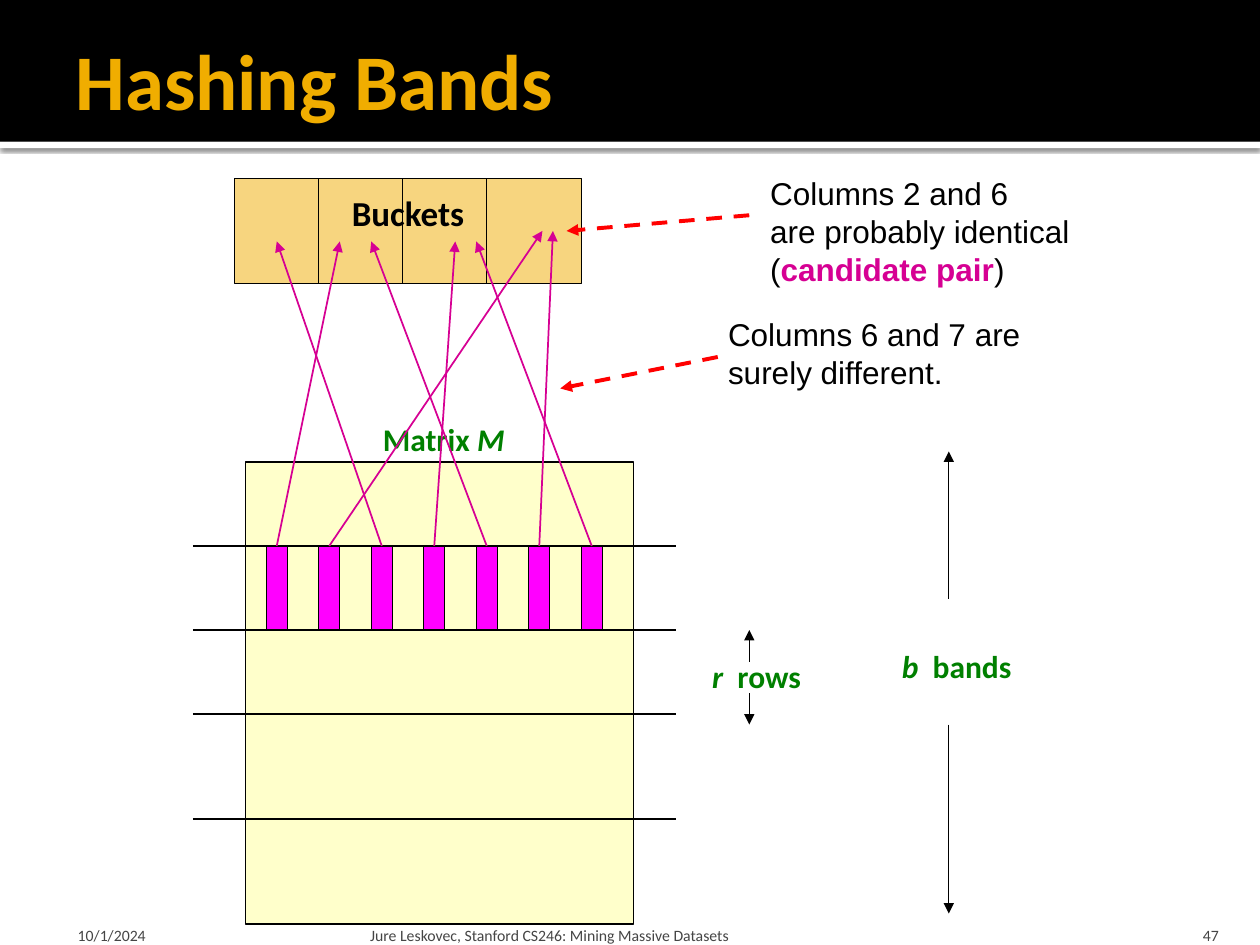
import dataclasses

import lxml.etree
import pptx
import pptx.dml.color
import pptx.enum.dml
import pptx.enum.shapes
import pptx.enum.text
import pptx.oxml
import pptx.oxml.ns
import pptx.util

ALIGN = pptx.enum.text.PP_ALIGN
ANCHOR = pptx.enum.text.MSO_ANCHOR


@dataclasses.dataclass(frozen=True)
class Theme:
    black: str = "000000"
    white: str = "FFFFFF"
    gold: str = "F0AD00"
    cream: str = "FFFF99"
    green: str = "008000"
    bar: str = "FF00FF"
    pink: str = "D60093"
    red: str = "FF0000"
    gray: str = "454545"
    heading_font: str = "Calibri"
    note_font: str = "Arial"
    title_size: float = 45
    bucket_size: float = 20
    label_size: float = 18
    footer_size: float = 9
    thin: float = 0.75
    medium: float = 1
    thick: float = 2.25


THEME = Theme()


def color(value):
    return pptx.dml.color.RGBColor.from_string(value)


def column(units):
    return pptx.util.Inches(units / 12 + 0.03)


def row(units):
    return pptx.util.Inches(units / 12)


def box(left, top, width, height):
    return column(left), row(top), row(width), row(height)


def add_xml(parent, name, **attributes):
    return lxml.etree.SubElement(parent, pptx.oxml.ns.qn(name), attributes)


def write_text(frame, paragraphs, font=THEME.heading_font, size=THEME.label_size,
               fill=THEME.black, bold=False, align=ALIGN.LEFT, anchor=ANCHOR.TOP,
               wrap=False, insets=(0.1, 0.05, 0.1, 0.05)):
    frame.word_wrap = wrap
    frame.auto_size = pptx.enum.text.MSO_AUTO_SIZE.NONE
    frame.vertical_anchor = anchor
    (frame.margin_left, frame.margin_top,
     frame.margin_right, frame.margin_bottom) = map(pptx.util.Inches, insets)
    for index, runs in enumerate(paragraphs):
        paragraph = frame.add_paragraph() if index else frame.paragraphs[0]
        paragraph.alignment = align
        for text, changes in runs:
            run = paragraph.add_run()
            run.text = text
            run.font.name = font
            run.font.size = pptx.util.Pt(size)
            run.font.bold = changes.get("bold", bold)
            run.font.italic = changes.get("italic", False)
            run.font.color.rgb = color(changes.get("fill", fill))


def add_text(slide, place, paragraphs, **text_format):
    shape = slide.shapes.add_textbox(*place)
    write_text(shape.text_frame, paragraphs, **text_format)


def add_rectangle(slide, place, fill, line=None, opacity=None):
    shape = slide.shapes.add_shape(pptx.enum.shapes.MSO_SHAPE.RECTANGLE, *place)
    shape.shadow.inherit = False
    shape.fill.solid()
    shape.fill.fore_color.rgb = color(fill)
    if opacity:
        solid = shape.element.spPr.find(pptx.oxml.ns.qn("a:solidFill"))
        add_xml(solid[0], "a:alpha", val=str(opacity * 1000))
    if line:
        shape.line.color.rgb = color(line)
        shape.line.width = pptx.util.Pt(THEME.thin)
    else:
        shape.line.fill.background()
    return shape


def add_line(slide, start, end, stroke=THEME.black, width=THEME.thin,
             arrow=False, dashed=False):
    connector = slide.shapes.add_connector(
        pptx.enum.shapes.MSO_CONNECTOR.STRAIGHT,
        column(start[0]), row(start[1]), column(end[0]), row(end[1]))
    connector.line.color.rgb = color(stroke)
    connector.line.width = pptx.util.Pt(width)
    if dashed:
        connector.line.dash_style = pptx.enum.dml.MSO_LINE.DASH
    if arrow:
        add_xml(connector.line._get_or_add_ln(), "a:tailEnd", type="triangle")
    add_xml(connector.element.spPr, "a:effectLst")


def add_header(slide, presentation):
    width, height = presentation.slide_width, presentation.slide_height
    band = int(height * 0.15)
    strip = add_rectangle(slide, (0, band, width, pptx.util.Inches(0.05)), THEME.white)
    effects = strip.element.spPr.find(pptx.oxml.ns.qn("a:effectLst"))
    shadow = add_xml(effects, "a:outerShdw", blurRad=str(pptx.util.Pt(2.5)),
                     dist=str(pptx.util.Pt(0.8)), dir="5400000", rotWithShape="0")
    shade = add_xml(shadow, "a:srgbClr", val=THEME.black)
    add_xml(shade, "a:alpha", val="60000")
    add_rectangle(slide, (0, 0, width, band), THEME.black)

    title = slide.shapes.title
    title.left, title.top = int(width * 0.05), pptx.util.Inches(0.17)
    title.width, title.height = int(width * 0.9), pptx.util.Inches(0.92)
    write_text(title.text_frame, [[("Hashing Bands", {})]], size=THEME.title_size,
               fill=THEME.gold, bold=True, anchor=ANCHOR.MIDDLE, wrap=True,
               insets=(0.1, 0.05, 0.05, 0.05))
    title.element.getparent().append(title.element)


def add_matrix(slide):
    add_rectangle(slide, box(23, 44, 37, 44), THEME.cream, THEME.black, opacity=50)
    for boundary in (52, 60, 68, 78):
        add_line(slide, (18, boundary), (64, boundary))
    for x, start, end in ((71, 63, 60), (71, 66, 69), (90, 57, 43), (90, 69, 87)):
        add_line(slide, (x, start), (x, end), arrow=True)
    italic = {"italic": True}
    labels = (
        (box(34.8, 39.4, 14.2, 4.8), [("Matrix ", {}), ("M", italic)]),
        (box(66.2, 62, 11, 4.8), [("r ", italic), (" rows", {})]),
        (box(84.2, 61, 13.1, 4.8), [("b ", italic), (" bands", {})]),
    )
    for place, runs in labels:
        add_text(slide, place, [runs], fill=THEME.green, bold=True, align=ALIGN.CENTER)


def add_buckets(slide):
    buckets = add_rectangle(slide, box(22, 17, 33, 10), THEME.gold, THEME.black, opacity=50)
    write_text(buckets.text_frame, [[("Buckets", {})]], size=THEME.bucket_size,
               bold=True, align=ALIGN.CENTER, anchor=ANCHOR.MIDDLE,
               insets=(0.1, 0.05, 0.1, 0.35))
    for divider in (30, 38, 46):
        add_line(slide, (divider, 17), (divider, 27))


def add_hashes(slide):
    targets = ((32, 23), (51.3, 22), (26, 23), (43, 23), (35, 23), (52.3, 22), (45, 23))
    for index, target in enumerate(targets):
        left = 25 + 5 * index
        add_rectangle(slide, box(left, 52, 2, 8), THEME.bar, THEME.black)
        add_line(slide, (left + 1, 52), target, THEME.pink, THEME.medium, arrow=True)


def add_notes_on_columns(slide):
    emphasis = {"bold": True, "fill": THEME.pink}
    notes = (
        (box(71.8, 16, 32, 12),
         [[("Columns 2 and 6", {})], [("are probably identical", {})],
          [("(", {}), ("candidate pair", emphasis), (")", {})]],
         (71, 20.5), (53.6, 22)),
        (box(67.8, 29.4, 30.5, 8.5),
         [[("Columns 6 and 7 are", {})], [("surely different.", {})]],
         (68, 34), (53, 37)),
    )
    for place, paragraphs, start, end in notes:
        add_text(slide, place, paragraphs, font=THEME.note_font)
        add_line(slide, start, end, THEME.red, THEME.thick, arrow=True, dashed=True)


def add_footer(slide):
    entries = (
        (5.6, 28, "10/1/2024", ALIGN.LEFT, 0.12),
        (34.3, 72.2, "Jure Leskovec, Stanford CS246: Mining Massive Datasets", ALIGN.LEFT, 0.05),
        (107.3, 9.6, "47", ALIGN.RIGHT, 0.1),
    )
    for left, width, text, align, inset in entries:
        add_text(slide, box(left, 86.4, width, 3.6), [[(text, {})]],
                 size=THEME.footer_size, fill=THEME.gray, align=align,
                 anchor=ANCHOR.BOTTOM, wrap=True, insets=(inset, 0.05, inset, 0))


def main():
    presentation = pptx.Presentation()
    presentation.slide_width = pptx.util.Inches(10)
    presentation.slide_height = pptx.util.Inches(7.5)
    slide = presentation.slides.add_slide(presentation.slide_layouts[5])
    add_header(slide, presentation)
    add_matrix(slide)
    add_buckets(slide)
    add_hashes(slide)
    add_footer(slide)
    add_notes_on_columns(slide)
    presentation.save("out.pptx")


if __name__ == "__main__":
    main()
